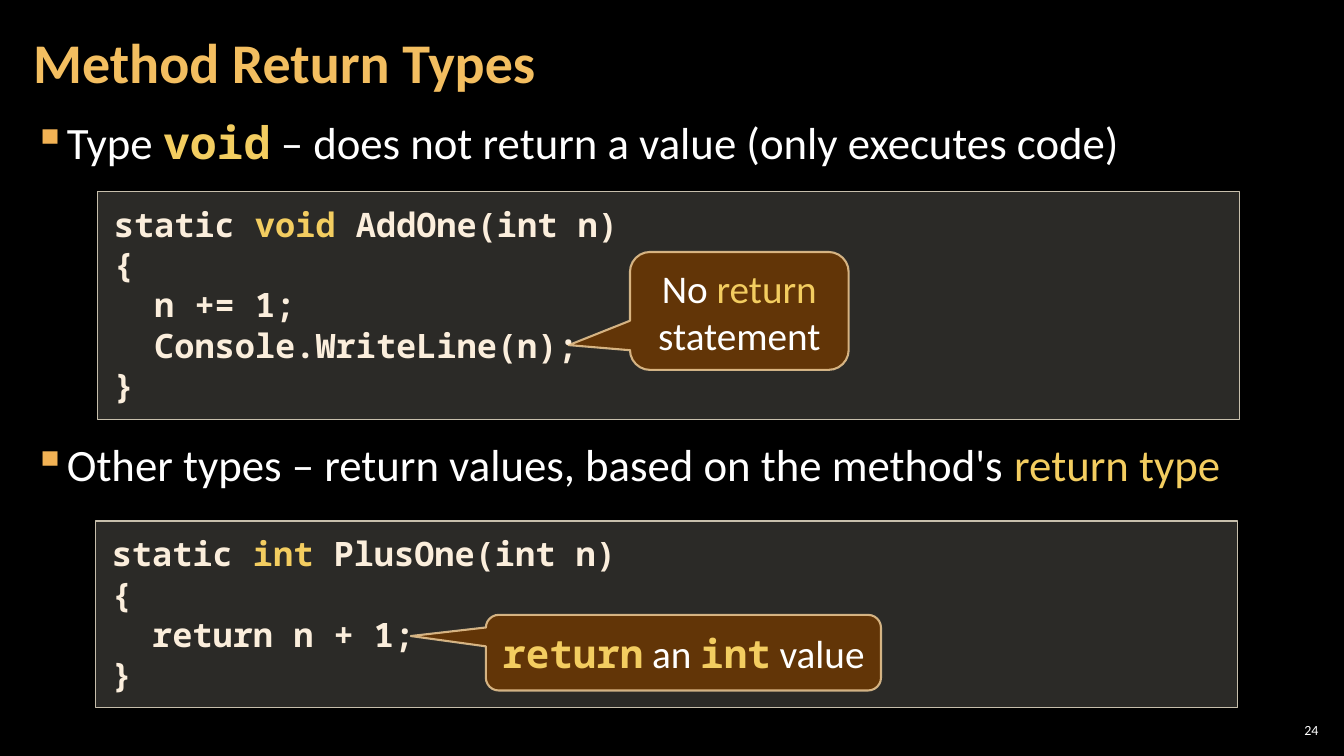
"""Build the slide on method return types."""
from lxml.etree import SubElement
from pptx import Presentation
from pptx.dml.color import RGBColor
from pptx.enum.shapes import MSO_SHAPE as SHAPE
from pptx.enum.text import MSO_ANCHOR as ANCHOR, PP_ALIGN as ALIGN
from pptx.oxml.ns import qn
from pptx.util import Pt

BLACK = RGBColor(0x00, 0x00, 0x00)
WHITE = RGBColor(0xFF, 0xFF, 0xFF)
TITLE_GOLD = RGBColor(0xF3, 0xBE, 0x60)
BULLET_GOLD = RGBColor(0xF2, 0xB2, 0x54)
KEYWORD = RGBColor(0xF3, 0xCD, 0x60)
CODE_TEXT = RGBColor(0xFB, 0xEE, 0xDC)
CODE_FILL = RGBColor(0xD9, 0xD5, 0xC7)
CODE_LINE = RGBColor(0xC7, 0xBF, 0xAC)
CALLOUT_FILL = RGBColor(0x66, 0x36, 0x06)
CALLOUT_LINE = RGBColor(0xF8, 0xD4, 0x9E)
SANS, MONO = "Calibri", "Noto Sans Mono"

PLAIN = (SANS, WHITE, False)
ACCENT = (SANS, KEYWORD, False)
HEADING = (SANS, TITLE_GOLD, True)
CODE = (MONO, CODE_TEXT, True)
CODE_KEY = (MONO, KEYWORD, True)

TITLE = [[("Method Return Types", HEADING)]]
NUMBER = [[("24", PLAIN)]]
BULLETS = [
    [("Type ", PLAIN), ("void", CODE_KEY),
     (" – does not return a value (only executes code)", PLAIN)],
    [("Other types – return values, based on the method's ", PLAIN),
     ("return type", ACCENT)],
]
CODE_BOXES = [
    ((69.84, 136.8, 815.76, 162.72),
     [[("static ", CODE), ("void", CODE_KEY), (" AddOne(int n)", CODE)],
      [("{", CODE)], [("n += 1;", CODE)],
      [("Console.WriteLine(n);", CODE)], [("}", CODE)]]),
    ((68.4, 372.24, 815.76, 133.2),
     [[("static ", CODE), ("int", CODE_KEY), (" PlusOne(int n)", CODE)],
      [("{", CODE)], [("return n + 1;", CODE)], [("}", CODE)]]),
]
CALLOUTS = [
    ((450, 180, 156.24, 84.24), (-0.78, 0.29, 0.17),
     [[("No ", PLAIN), ("return", ACCENT), (" statement", PLAIN)]]),
    ((347.04, 439.2, 282.24, 54), (-0.69, -0.22, 0.17),
     [[("return", CODE_KEY), (" an ", PLAIN), ("int", CODE_KEY),
       (" value", PLAIN)]]),
]
BULLET_INDENT = 24
BULLET_GAP = 184
CODE_INDENT = 28.8


def write(sp, paragraphs, size, align=ALIGN.LEFT, anchor=ANCHOR.TOP,
          inset=(7.2, 3.6), spacing=None):
    """Fill a shape with formatted runs and return its paragraphs."""
    tf = sp.text_frame
    tf.word_wrap = True
    tf.vertical_anchor = anchor
    tf.margin_left = tf.margin_right = Pt(inset[0])
    tf.margin_top = tf.margin_bottom = Pt(inset[1])
    for i, runs in enumerate(paragraphs):
        p = tf.add_paragraph() if i else tf.paragraphs[0]
        p.alignment = align
        p.line_spacing = spacing
        for text, (font, color, bold) in runs:
            r = p.add_run()
            r.text = text
            r.font.name, r.font.size, r.font.bold = font, Pt(size), bold
            r.font.color.rgb = color
    return tf.paragraphs


def add_box(s, box):
    """Add an empty text box."""
    return s.shapes.add_textbox(*map(Pt, box))


def set_alpha(color_format_parent, percent):
    """Make the solid fill inside an element partly transparent."""
    color = color_format_parent.find(qn("a:solidFill"))[0]
    SubElement(color, qn("a:alpha"), val=str(percent * 1000))


def add_panel(s, kind, box, fill, fill_alpha, line, width, line_alpha=100):
    """Add a translucent outlined shape."""
    sp = s.shapes.add_shape(kind, *map(Pt, box))
    sp.shadow.inherit = False
    sp.fill.solid()
    sp.fill.fore_color.rgb = fill
    sp.line.color.rgb = line
    sp.line.width = Pt(width)
    props = sp._element.spPr
    set_alpha(props, fill_alpha)
    set_alpha(props.find(qn("a:ln")), line_alpha)
    return sp


def set_indent(p, left, first=0):
    """Set the left margin and first-line indent of a paragraph."""
    props = p._p.get_or_add_pPr()
    props.set("marL", str(Pt(left)))
    props.set("indent", str(Pt(first)))
    return props


def add_bullet(p):
    """Give a paragraph a square gold bullet."""
    props = set_indent(p, BULLET_INDENT, -BULLET_INDENT)
    color = SubElement(props, qn("a:buClr"))
    SubElement(color, qn("a:srgbClr"), val=str(BULLET_GOLD))
    SubElement(props, qn("a:buChar"), char="▪")


def main():
    """Assemble and save the slide."""
    prs = Presentation()
    prs.slide_width, prs.slide_height = Pt(960), Pt(540)
    s = prs.slides.add_slide(prs.slide_layouts[6])
    s.background.fill.solid()
    s.background.fill.fore_color.rgb = BLACK

    write(add_box(s, (910.8, 514.08, 33.84, 15.12)), NUMBER, 10,
          align=ALIGN.RIGHT, anchor=ANCHOR.MIDDLE, inset=(2.88, 2.88))
    bullets = write(add_box(s, (15.12, 77.76, 929.52, 451.44)), BULLETS, 32,
                    inset=(8.64, 2.88), spacing=Pt(40))
    for i, p in enumerate(bullets):
        p.space_before, p.space_after = Pt(i * BULLET_GAP), Pt(6)
        add_bullet(p)
    write(add_box(s, (15.12, 2.88, 753.84, 87.12)), TITLE, 40,
          anchor=ANCHOR.MIDDLE, inset=(8.64, 2.88), spacing=0.9)

    for box, code in CODE_BOXES:
        sp = add_panel(s, SHAPE.RECTANGLE, box, CODE_FILL, 20, CODE_LINE, 1)
        lines = write(sp, code, 24, inset=(11.52, 8.64), spacing=Pt(28.8))
        for p in lines[2:-1]:
            set_indent(p, CODE_INDENT)

    for box, adjustments, text in CALLOUTS:
        sp = add_panel(s, SHAPE.ROUNDED_RECTANGULAR_CALLOUT, box,
                       CALLOUT_FILL, 95, CALLOUT_LINE, 1.5, 80)
        for i, value in enumerate(adjustments):
            sp.adjustments[i] = value
        write(sp, text, 28, align=ALIGN.CENTER, anchor=ANCHOR.MIDDLE)

    prs.save("out.pptx")


if __name__ == "__main__":
    main()
